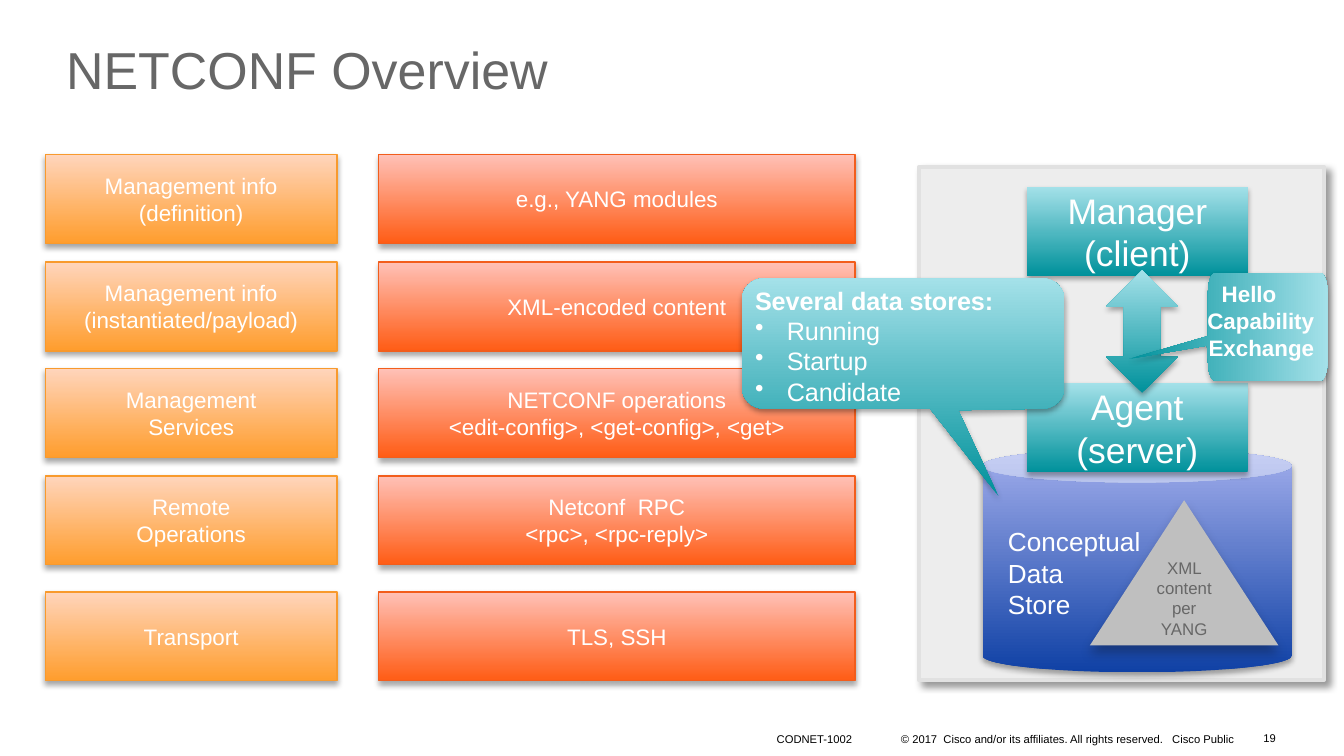
import math
from dataclasses import dataclass

from lxml import etree
from pptx import Presentation
from pptx.dml.color import RGBColor
from pptx.enum.shapes import MSO_SHAPE
from pptx.enum.text import MSO_ANCHOR, PP_ALIGN
from pptx.oxml.ns import qn
from pptx.util import Cm, Pt

RECT, CAN = MSO_SHAPE.RECTANGLE, MSO_SHAPE.CAN
TRIANGLE, UP_DOWN = MSO_SHAPE.ISOSCELES_TRIANGLE, MSO_SHAPE.UP_DOWN_ARROW
TOP, MIDDLE, BOTTOM = MSO_ANCHOR.TOP, MSO_ANCHOR.MIDDLE, MSO_ANCHOR.BOTTOM
LEFT, CENTER, RIGHT = PP_ALIGN.LEFT, PP_ALIGN.CENTER, PP_ALIGN.RIGHT


@dataclass(frozen=True)
class Shadow:
    alpha: int
    blur: float
    dist: float
    angle: int


@dataclass(frozen=True)
class Theme:
    font: str = "Arial"
    # Colours; gradients run from the dark to the light end
    white: str = "FFFFFF"
    black: str = "000000"
    grey: str = "676767"
    panel: str = "EDEDED"
    panel_line: str = "E1E1E1"
    triangle: str = "BFBFBF"
    orange: tuple = ("FF9D2D", "FFD5BC")
    orange_line: str = "F89A2D"
    red: tuple = ("FF5C15", "FFC1B7")
    red_line: str = "F25D1C"
    teal: tuple = ("00919B", "A4E1E9")
    blue: tuple = ("1041A5", "A3AFED")
    # Type sizes
    title: float = 27.8
    role: float = 19
    store: float = 14
    callout: float = 13.5
    body: float = 12
    small: float = 9
    footer: float = 6
    # Shadows
    soft: Shadow = Shadow(35, 3.1, 1.8, 90)
    corner: Shadow = Shadow(40, 4, 3, 45)
    deep: Shadow = Shadow(27, 6, 4, 90)


@dataclass(frozen=True)
class Box:
    x: float
    y: float
    w: float
    h: float

    def emu(self) -> tuple:
        return Cm(self.x), Cm(self.y), Cm(self.w), Cm(self.h)


@dataclass(frozen=True)
class Layer:
    y: float
    name: str
    example: str


T = Theme()


def style(sp, fill, line=None, width: float = 0.75, shadow: Shadow = T.soft, angle: int = 90) -> None:
    """Fill (plain or gradient), outline and shadow of a shape."""
    if isinstance(fill, tuple):
        sp.fill.gradient()
        sp.fill.gradient_angle = angle
        for stop, color in zip(sp.fill.gradient_stops, fill):
            stop.color.rgb = RGBColor.from_string(color)
    else:
        sp.fill.solid()
        sp.fill.fore_color.rgb = RGBColor.from_string(fill)
    if line:
        sp.line.color.rgb = RGBColor.from_string(line)
        sp.line.width = Pt(width)
    else:
        sp.line.fill.background()
    sp.shadow.inherit = False
    effects = sp._element.spPr.find(qn("a:effectLst"))
    outer = etree.SubElement(effects, qn("a:outerShdw"), blurRad=str(Pt(shadow.blur)),
                             dist=str(Pt(shadow.dist)), dir=str(shadow.angle * 60000), rotWithShape="0")
    color = etree.SubElement(outer, qn("a:srgbClr"), val=T.black)
    etree.SubElement(color, qn("a:alpha"), val=str(shadow.alpha * 1000))


def write(sp, text: str, *, size: float = T.body, color: str = T.white, bold: bool = False,
          align=LEFT, anchor=TOP, wrap: bool = True, margins=(0.25, 0.13), indent: float = 0,
          bullet: str = "", spacing=None) -> None:
    """Append one paragraph per line of text; a vertical tab breaks the line."""
    tf = sp.text_frame
    tf.word_wrap, tf.vertical_anchor = wrap, anchor
    tf.margin_left = tf.margin_right = Cm(margins[0])
    tf.margin_top = tf.margin_bottom = Cm(margins[1])
    for line in text.split("\n"):
        p = tf.paragraphs[0] if not tf.paragraphs[0].runs else tf.add_paragraph()
        p.alignment = align
        if spacing:
            p.line_spacing = spacing
        if indent:
            pPr = p._p.get_or_add_pPr()
            pPr.set("marL", str(Cm(indent)))
            if bullet:
                pPr.set("indent", str(-Cm(indent)))
                etree.SubElement(pPr, qn("a:buChar"), char=bullet)
        for i, part in enumerate(line.split("\v")):
            if i:
                p.add_line_break()
            r = p.add_run()
            r.text = part
            r.font.name, r.font.size, r.font.bold = T.font, Pt(size), bold
            r.font.color.rgb = RGBColor.from_string(color)


def add_shape(s, kind, box: Box, fill, **look):
    sp = s.shapes.add_shape(kind, *box.emu())
    style(sp, fill, **look)
    return sp


def add_text(s, box: Box, text: str, **fmt) -> None:
    write(s.shapes.add_textbox(*box.emu()), text, **fmt)


def add_callout(s, box: Box, rx: float, ry: float, tail: list, after: int, angle: int = 90):
    """Rounded box whose tail follows corner `after` (clockwise from top left)."""
    right, bottom = box.x + box.w, box.y + box.h
    centers = [(box.x + rx, box.y + ry), (right - rx, box.y + ry),
               (right - rx, bottom - ry), (box.x + rx, bottom - ry)]
    points = []
    for corner, (cx, cy) in enumerate(centers):
        for step in range(9):
            a = math.radians(180 + 90 * corner + 90 * step / 8)
            points.append((cx + rx * math.cos(a), cy + ry * math.sin(a)))
        if corner == after:
            points += tail
    points = [(Cm(x), Cm(y)) for x, y in points]
    outline = s.shapes.build_freeform(*points[0])
    outline.add_line_segments(points[1:], close=True)
    sp = outline.convert_to_shape()
    style(sp, T.teal, angle=angle)
    return sp


LAYERS = [
    Layer(2.92, "Management info\n(definition)", "e.g., YANG modules"),
    Layer(4.95, "Management info\n(instantiated/payload)", "XML-encoded content"),
    Layer(6.96, "Management\nServices", "NETCONF operations\n<edit-config>, <get-config>, <get>"),
    Layer(8.99, "Remote\nOperations", "Netconf  RPC\n<rpc>, <rpc-reply>"),
    Layer(11.18, "Transport", "TLS, SSH"),
]
BOX_H = 1.68


def main() -> None:
    prs = Presentation()
    prs.slide_width, prs.slide_height = Cm(25.4), Cm(14.28)
    s = prs.slides.add_slide(prs.slide_layouts[6])

    # Title
    add_text(s, Box(1.07, 0.74, 23.75, 1.27), "NETCONF Overview", size=T.title,
             color=T.grey, margins=(0.18, 0.1), spacing=0.9)

    # Protocol layers and their examples
    for layer in LAYERS:
        for x, w, text, fill, line in ((0.86, 5.51, layer.name, T.orange, T.orange_line),
                                       (7.16, 9, layer.example, T.red, T.red_line)):
            sp = add_shape(s, RECT, Box(x, layer.y, w, BOX_H), fill, line=line)
            write(sp, text, align=CENTER, anchor=MIDDLE)

    # Manager, agent and data store
    add_shape(s, RECT, Box(17.37, 3.15, 7.65, 9.7), T.panel, line=T.panel_line, width=2, shadow=T.corner)
    can = add_shape(s, CAN, Box(18.57, 8.48, 5.84, 4.22), T.blue)
    can.adjustments[0] = 0.15
    sp = add_shape(s, TRIANGLE, Box(20.6, 9.45, 3.56, 2.74), T.triangle, shadow=T.deep)
    write(sp, "XML content per YANG", size=T.small, color=T.grey, align=CENTER, anchor=BOTTOM)
    add_text(s, Box(18.8, 9.8, 3.02, 2.06), "Conceptual\nData \vStore", size=T.store, wrap=False)
    for y, text in ((3.53, "Manager (client)"), (7.24, "Agent\n(server)")):
        sp = add_shape(s, RECT, Box(19.41, y, 4.17, BOX_H), T.teal)
        write(sp, text, size=T.role, align=CENTER, anchor=MIDDLE)

    # Data store callout
    sp = add_callout(s, Box(14.02, 5.26, 6.1, 2.46), 0.41, 0.41,
                     [(18.11, 7.75), (18.87, 9.37), (17.58, 7.72)], after=2)
    write(sp, "Several data stores:", size=T.callout, bold=True)
    write(sp, "Running\nStartup\nCandidate", size=T.callout, indent=0.6, bullet="•")

    # Capability exchange
    add_shape(s, UP_DOWN, Box(20.9, 5.11, 1.37, 2.31), T.teal)
    sp = add_callout(s, Box(22.83, 5.16, 2.26, 2.03), 0.13, 0.38,
                     [(22.81, 6.53), (21.34, 6.78), (22.83, 6.35)], after=3, angle=0)
    write(sp, "Hello", bold=True, indent=1.5)
    write(sp, "Capability\nExchange", bold=True, align=RIGHT)

    # Footer
    footer = dict(size=T.footer, color=T.black)
    add_text(s, Box(14.5, 13.74, 1.98, 0.43), "CODNET-1002", anchor=BOTTOM, margins=(0.18, 0.08), **footer)
    add_text(s, Box(16.64, 13.74, 6.86, 0.43),
             "© 2017  Cisco and/or its affiliates. All rights reserved.   Cisco Public",
             align=RIGHT, anchor=BOTTOM, margins=(0.18, 0.08), **footer)
    add_text(s, Box(23.37, 13.56, 0.99, 0.76), "19", align=RIGHT, anchor=MIDDLE, **footer)

    prs.save("out.pptx")


if __name__ == "__main__":
    main()
